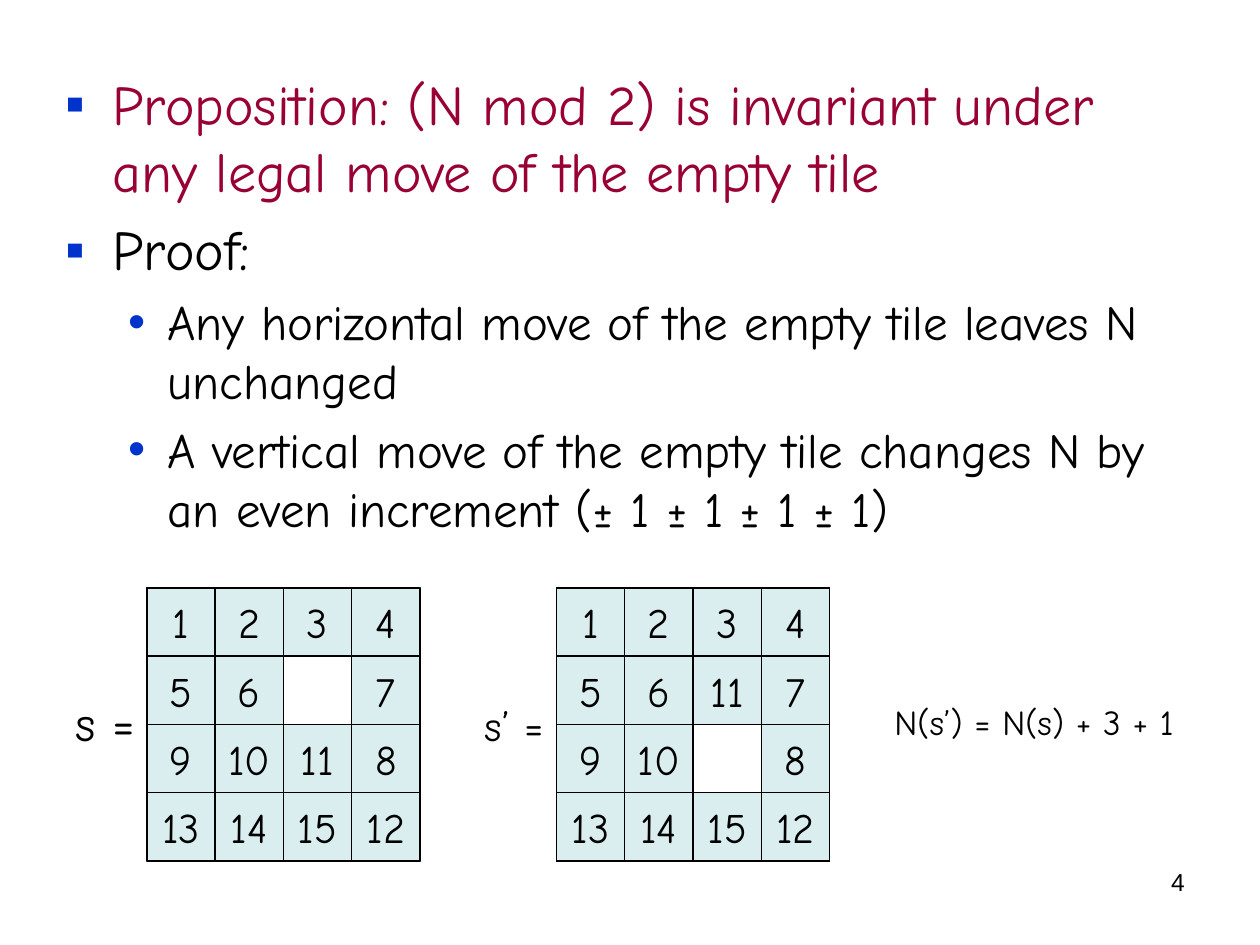
import pptx
import pptx.dml.color
import pptx.enum.shapes
import pptx.enum.text
import pptx.oxml
import pptx.oxml.ns
import pptx.util
from dataclasses import dataclass

Pt = pptx.util.Pt
ALIGN = pptx.enum.text.PP_ALIGN


@dataclass(frozen=True)
class Theme:
    font: str = "Comic Neue"
    number_font: str = "Arial"
    ink: str = "000000"
    accent: str = "990033"
    bullet: str = "0033CC"
    tile: str = "DAEEF0"
    statement_size: int = 32
    argument_size: int = 28
    tile_size: int = 24
    formula_size: int = 20
    number_size: int = 14


class PuzzleSlide:
    TILE = 39

    def __init__(self, slide, theme):
        self.slide = slide
        self.theme = theme

    def add_text(self, paragraph, text, size, color=None, font=None):
        run = paragraph.add_run()
        run.text = text
        run.font.size = Pt(size)
        run.font.name = font or self.theme.font
        run.font.color.rgb = pptx.dml.color.RGBColor.from_string(color or self.theme.ink)

    def set_bullet(self, paragraph, char, margin, hang):
        properties = paragraph._p.get_or_add_pPr()
        properties.set("marL", str(Pt(margin)))
        properties.set("indent", str(-Pt(hang)))
        namespace = pptx.oxml.ns.nsdecls("a")
        for xml in (
            f'<a:buClr {namespace}><a:srgbClr val="{self.theme.bullet}"/></a:buClr>',
            f'<a:buFont {namespace} typeface="Arial"/>',
            f'<a:buChar {namespace} char="{char}"/>',
        ):
            properties.append(pptx.oxml.parse_xml(xml))

    def body(self, items, left, top, width, height):
        title = self.slide.shapes.title._element
        title.getparent().remove(title)
        body = self.slide.placeholders[1]
        body.left, body.top, body.width, body.height = map(Pt, (left, top, width, height))
        frame = body.text_frame
        frame.auto_size = pptx.enum.text.MSO_AUTO_SIZE.NONE
        for index, (level, text, color) in enumerate(items):
            paragraph = frame.add_paragraph() if index else frame.paragraphs[0]
            paragraph.level = level
            if level:
                self.set_bullet(paragraph, "•", 58.5, 22.5)
                size = self.theme.argument_size
            else:
                self.set_bullet(paragraph, "▪", 27, 27)
                size = self.theme.statement_size
            self.add_text(paragraph, text, size, color)

    def label(self, text, left, top, width, height, size, shapes=None,
              align=ALIGN.LEFT, font=None, wrap=False):
        shapes = shapes or self.slide.shapes
        box = shapes.add_textbox(*map(Pt, (left, top, width, height)))
        box.text_frame.word_wrap = wrap
        paragraph = box.text_frame.paragraphs[0]
        paragraph.alignment = align
        self.add_text(paragraph, text, size, font=font)

    def square(self, shapes, left, top, side, fill=None):
        square = shapes.add_shape(
            pptx.enum.shapes.MSO_SHAPE.RECTANGLE, *map(Pt, (left, top, side, side)))
        square.shadow.inherit = False
        if fill:
            square.fill.solid()
            square.fill.fore_color.rgb = pptx.dml.color.RGBColor.from_string(fill)
        else:
            square.fill.background()
        square.line.color.rgb = pptx.dml.color.RGBColor.from_string(self.theme.ink)
        square.line.width = Pt(0.75)
        return square

    def board(self, rows, left, top):
        """Draw a tile board; None marks the empty tile. Returns the group's shapes."""
        shapes = self.slide.shapes.add_group_shape().shapes
        self.square(shapes, left, top, self.TILE * len(rows))
        for row, numbers in enumerate(rows):
            for column, number in enumerate(numbers):
                if number is None:
                    continue
                tile = self.square(shapes, left + column * self.TILE,
                                   top + row * self.TILE, self.TILE, self.theme.tile)
                frame = tile.text_frame
                frame.word_wrap = False
                frame.vertical_anchor = pptx.enum.text.MSO_ANCHOR.MIDDLE
                frame.paragraphs[0].alignment = ALIGN.CENTER
                self.add_text(frame.paragraphs[0], str(number), self.theme.tile_size)
        return shapes


def main():
    theme = Theme()
    deck = pptx.Presentation()
    deck.slide_width, deck.slide_height = Pt(720), Pt(540)
    page = PuzzleSlide(deck.slides.add_slide(deck.slide_layouts[1]), theme)

    # Proposition and proof
    page.body([
        (0, "Proposition: (N mod 2) is invariant under any legal move of the empty tile",
         theme.accent),
        (0, "Proof:", theme.ink),
        (1, "Any horizontal move of the empty tile leaves N unchanged", theme.ink),
        (1, "A vertical move of the empty tile changes N by an even increment "
            "(± 1 ± 1 ± 1 ± 1)", theme.ink),
    ], 30, 36, 648, 356.4)

    # Boards before and after a vertical move
    before = [[1, 2, 3, 4], [5, 6, None, 7], [9, 10, 11, 8], [13, 14, 15, 12]]
    after = [list(row) for row in before]
    after[1][2], after[2][2] = before[2][2], before[1][2]
    start = page.board(before, 84, 336)
    page.label("s =", 36, 392.4, 50.4, 41, theme.argument_size, start)
    moved = page.board(after, 318, 336)
    page.label("s’ =", 270, 396, 49.7, 36, theme.tile_size, moved)

    # Change in N
    page.label("N(s’) = N(s) + 3 + 1", 504, 396.7, 185.8, 31, theme.formula_size)

    # Page number
    page.label("4", 516, 492, 168, 37.4, theme.number_size,
               align=ALIGN.RIGHT, font=theme.number_font, wrap=True)

    deck.save("out.pptx")


if __name__ == "__main__":
    main()
